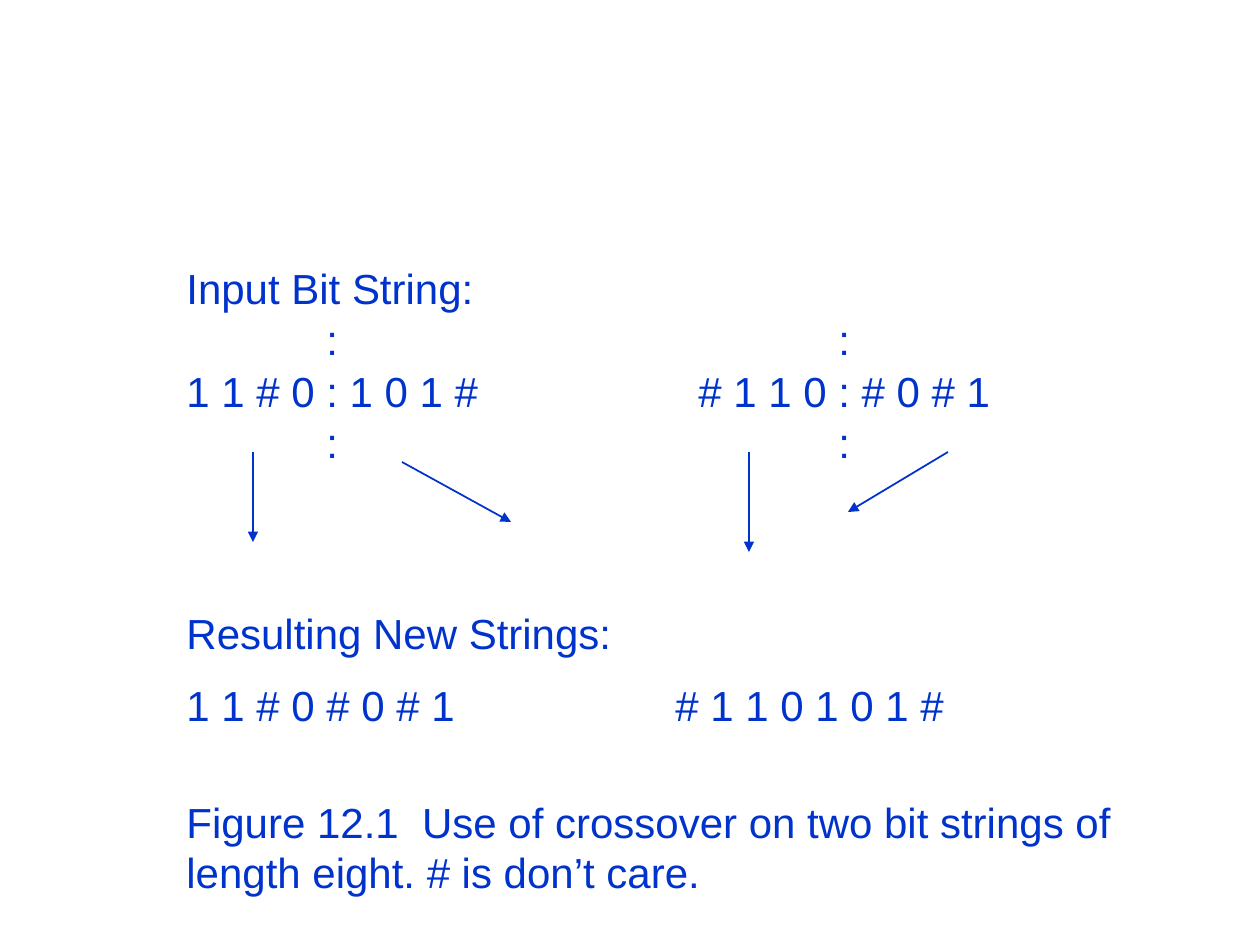
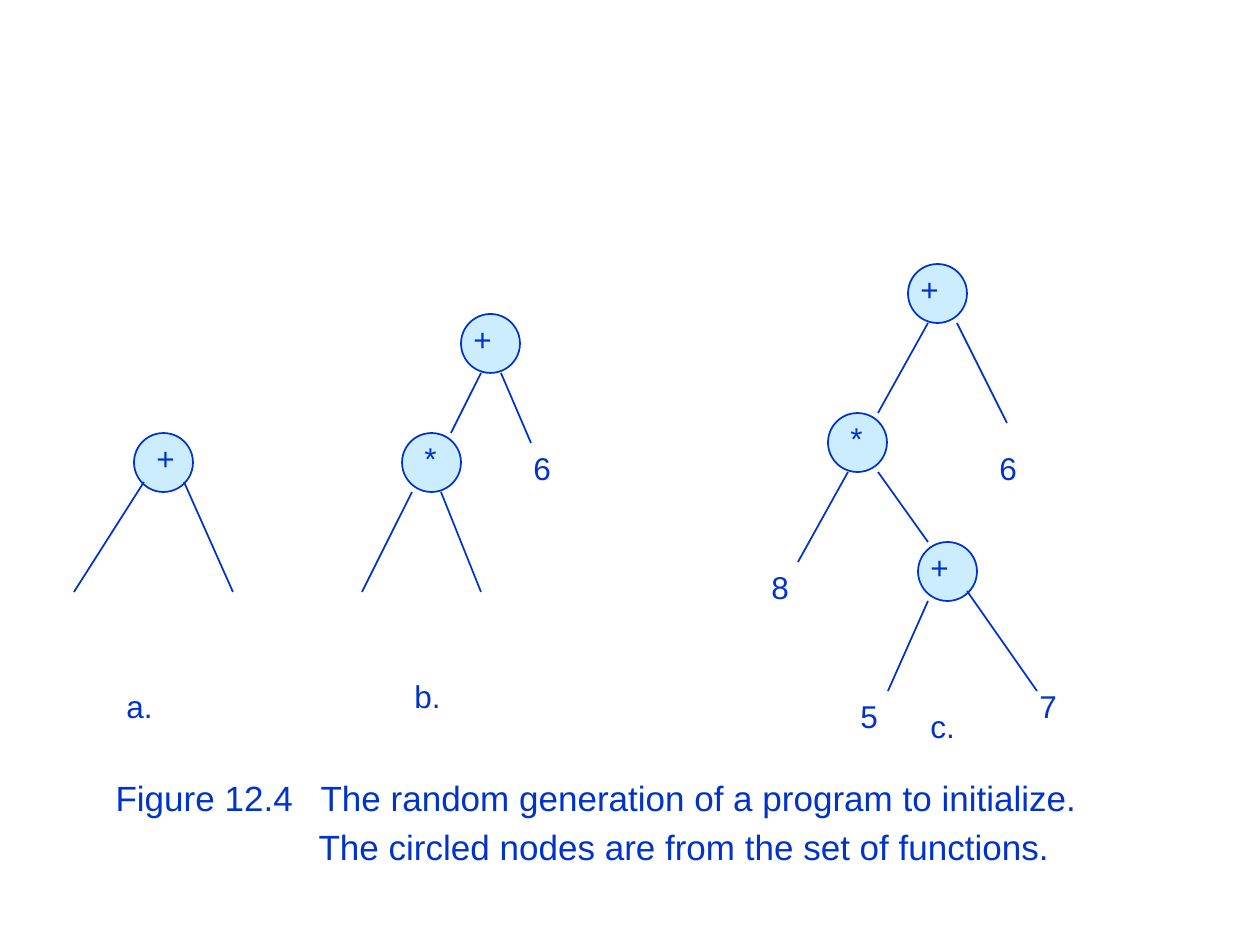
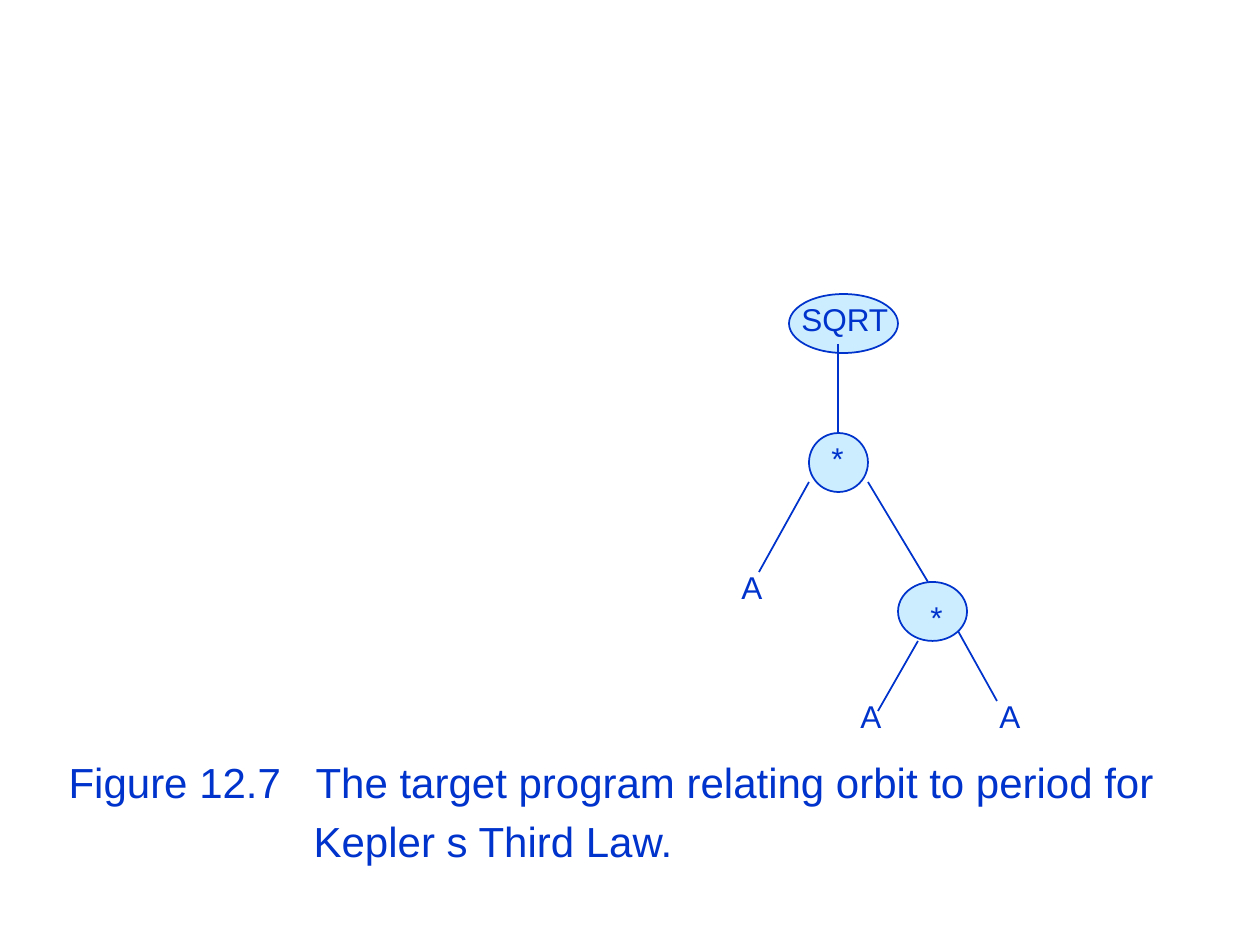
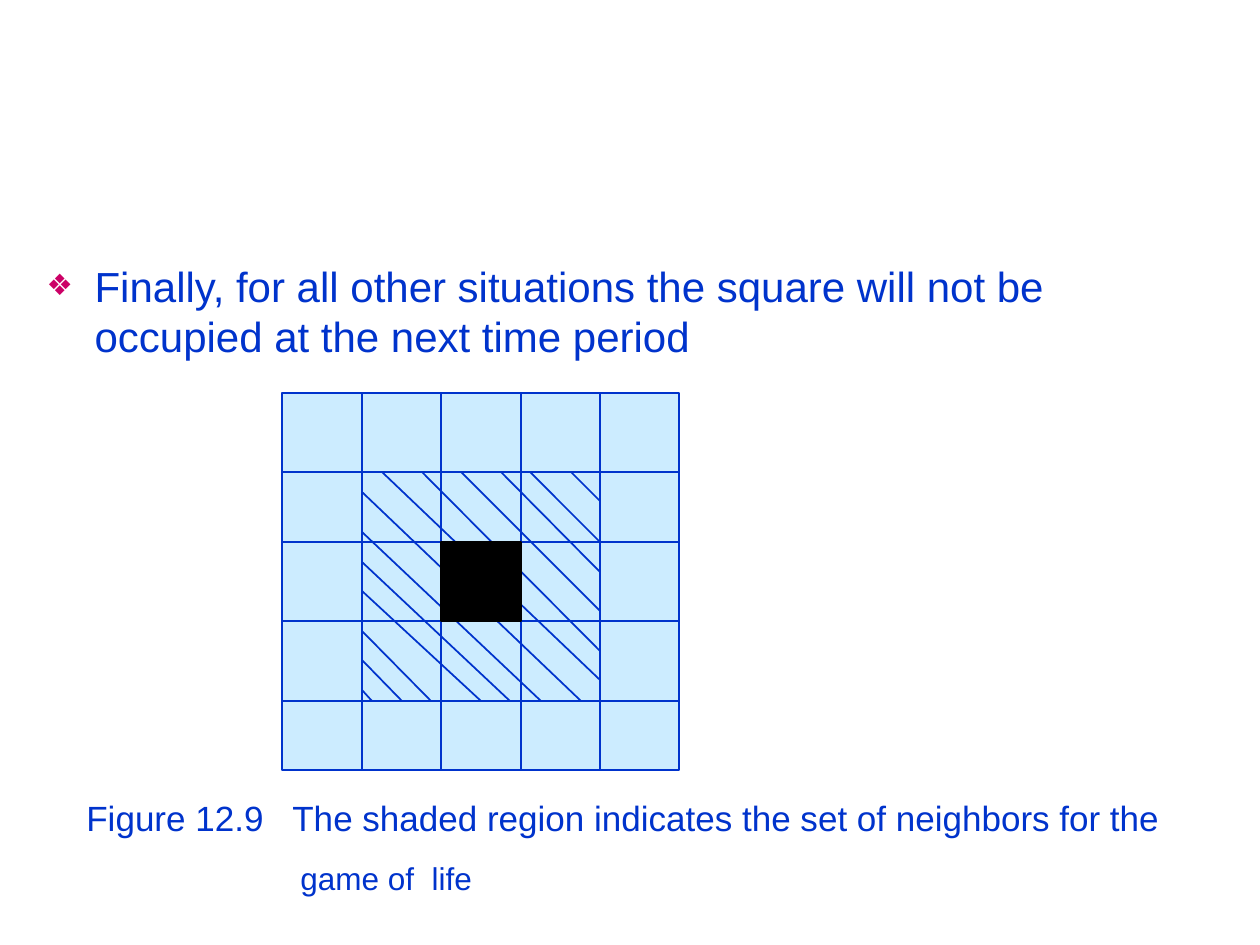
from pptx import Presentation
from pptx import util as u
from pptx.dml.color import RGBColor
from pptx.enum import shapes, text
from pptx.oxml.ns import qn
from lxml import etree

BLUE = RGBColor(0x00, 0x33, 0xCC)
PALE = RGBColor(0xCC, 0xEC, 0xFF)
BLACK = RGBColor(0x00, 0x00, 0x00)
BULLET_COLOUR = "CC0066"
FONT = "Arial"
PX = 914400 / 126
TITLE_AND_BODY, BLANK = 1, 6
NODE = 59
LABEL_HEIGHT = 50

# Paragraphs everywhere: (text, size, left margin, first-line indent, space before).
# A tab after a hanging indent leads to the left margin.
CUT_MARKS = (":\t:", 24, 652, -512, 12.1)

# Slide 1: box, line spacing, paragraphs
CROSSOVER_TEXTS = [
    ((174, 274, 953, 209), 0.6, [
        ("Input Bit String:", 24, 0, 0, 0),
        CUT_MARKS,
        ("1 1 # 0 : 1 0 1 #\t# 1 1 0 : # 0 # 1", 24, 512, -512, 12.1),
        CUT_MARKS]),
    ((174, 601, 824, 139), 1.0, [
        ("Resulting New Strings:", 24, 0, 0, 0),
        ("1 1 # 0 # 0 # 1\t# 1 1 0 1 0 1 #", 24, 489, -489, 12.5)]),
    ((174, 790, 1012, 113), 1.0, [
        ("Figure 12.1  Use of crossover on two bit strings of "
         "length eight. # is don’t care.", 24, 0, 0, 0)]),
]
CROSSOVER_ARROWS = [(253, 452, 253, 542), (402, 462, 511, 522),
                    (749, 452, 749, 552), (948, 452, 848, 512)]

# Trees: nodes (x, y, width), branches (x1, y1, x2, y2), labels (text, x, y, width)
GENERATION = {
    "nodes": [(134, 433, NODE), (402, 433, NODE), (461, 314, NODE),
              (918, 542, NODE), (828, 413, NODE), (908, 264, NODE)],
    "branches": [(144, 482, 74, 592), (184, 482, 233, 592),
                 (481, 373, 451, 433), (501, 373, 531, 443),
                 (412, 492, 362, 592), (441, 492, 481, 592),
                 (928, 323, 878, 413), (957, 323, 1007, 423),
                 (878, 472, 928, 542), (848, 472, 798, 562),
                 (967, 591, 1037, 691), (928, 601, 888, 691)],
    "labels": [("+", 144, 433, 60), ("+", 461, 314, 60), ("+", 908, 264, 60),
               ("+", 918, 542, 60), ("*", 412, 433, 60), ("*", 838, 413, 60),
               ("7", 1027, 681, 60), ("5", 848, 691, 60), ("8", 759, 562, 60),
               ("6", 987, 443, 60), ("6", 521, 443, 60), ("c.", 918, 701, 60),
               ("b.", 402, 671, 60), ("a.", 114, 681, 60)],
}
KEPLER = {
    "nodes": [(898, 582, 69), (809, 433, NODE), (789, 294, 109)],
    "branches": [(838, 344, 838, 433), (809, 482, 759, 572),
                 (868, 482, 928, 582), (918, 641, 878, 711),
                 (958, 631, 997, 701)],
    "labels": [("SQRT", 789, 294, 139), ("*", 819, 433, 70),
               ("*", 918, 592, 129), ("A", 729, 562, 70),
               ("A", 848, 691, 70), ("A", 987, 691, 90)],
}

GENERATION_CAPTION = [
    ("Figure 12.4\tThe random generation of a program to initialize.", 20, 264, -205, 0),
    ("The circled nodes are from the set of functions.", 20, 262, 0, 4)]
KEPLER_CAPTION = [
    ("Figure 12.7\tThe target program relating orbit to period for", 24, 259, -247, 0),
    ("Kepler s Third Law.", 24, 257, 0, 5)]
LIFE_CAPTION = [
    ("Figure 12.9\tThe shaded region indicates the set of neighbors for the", 20, 206, -206, 0),
    ("game of  life", 18, 214, 0, 11.7)]
LIFE_RULE = [
    ("Finally, for all other situations the square will not be "
     "occupied at the next time period", 24, 48, -48, 0)]

# Slide 4: grid edges and hatching of the inner 3 x 3 cells
COLUMNS = [282, 362, 441, 521, 600, 679]
ROWS = [393, 472, 542, 621, 701, 770]
HATCH_FROM_TOP = [(382, 680), (422, 651), (461, 611),
                  (501, 572), (530, 542), (571, 501)]  # start x, end y
HATCH_FROM_LEFT = [(492, 581), (532, 541), (562, 510), (591, 481),
                   (631, 431), (660, 402), (690, 372)]  # start y, end x


def px(*values):
    return [u.Emu(round(value * PX)) for value in values]


def set_bullet(props, bullet):
    if not bullet:
        etree.SubElement(props, qn("a:buNone"))
        return
    colour = etree.SubElement(props, qn("a:buClr"))
    etree.SubElement(colour, qn("a:srgbClr"), val=BULLET_COLOUR)
    etree.SubElement(props, qn("a:buSzPct"), val="70000")
    etree.SubElement(props, qn("a:buFont"), typeface=FONT)
    etree.SubElement(props, qn("a:buChar"), char=bullet)


def write(frame, lines, spacing=1.0, bullet=None):
    frame.word_wrap = True
    frame.auto_size = text.MSO_AUTO_SIZE.NONE
    frame.vertical_anchor = text.MSO_ANCHOR.TOP
    for index, (words, size, left, indent, before) in enumerate(lines):
        para = frame.add_paragraph() if index else frame.paragraphs[0]
        props = para._p.get_or_add_pPr()
        for name, length in zip(("marL", "indent"), px(left, indent)):
            props.set(name, str(length))
        set_bullet(props, bullet)
        para.alignment = text.PP_ALIGN.LEFT
        para.line_spacing = spacing
        para.space_before = u.Pt(before)
        span = para.add_run()
        span.text = words
        span.font.name = FONT
        span.font.size = u.Pt(size)
        span.font.color.rgb = BLUE


def add_text(page, bounds, lines, spacing=1.0):
    write(page.shapes.add_textbox(*px(*bounds)).text_frame, lines, spacing)


def add_body_page(deck, bounds, lines, bullet=None):
    """Add a slide whose only placeholder is the body, and fill it."""
    page = deck.slides.add_slide(deck.slide_layouts[TITLE_AND_BODY])
    title = page.shapes.title
    title.element.getparent().remove(title.element)
    body = page.placeholders[1]
    body.left, body.top, body.width, body.height = px(*bounds)
    write(body.text_frame, lines, bullet=bullet)
    return page


def add_preset(page, kind, bounds, fill, outline):
    shape = page.shapes.add_shape(kind, *px(*bounds))
    shape.shadow.inherit = False
    shape.fill.solid()
    shape.fill.fore_color.rgb = fill
    shape.line.color.rgb = outline
    shape.line.width = u.Pt(1)


def add_line(page, ends, arrow=False):
    line = page.shapes.add_connector(shapes.MSO_CONNECTOR.STRAIGHT, *px(*ends))
    line.line.color.rgb = BLUE
    line.line.width = u.Pt(1)
    if arrow:
        outline = line._element.spPr.find(qn("a:ln"))
        etree.SubElement(outline, qn("a:tailEnd"), type="triangle")
    etree.SubElement(line._element.spPr, qn("a:effectLst"))


def crossover_page(deck):
    page = deck.slides.add_slide(deck.slide_layouts[BLANK])
    for bounds, spacing, lines in CROSSOVER_TEXTS:
        add_text(page, bounds, lines, spacing)
    for ends in CROSSOVER_ARROWS:
        add_line(page, ends, arrow=True)


def tree_page(deck, bounds, caption, tree):
    page = add_body_page(deck, bounds, caption)
    for x, y, width in tree["nodes"]:
        add_preset(page, shapes.MSO_SHAPE.OVAL, (x, y, width, NODE), PALE, BLUE)
    for ends in tree["branches"]:
        add_line(page, ends)
    for words, x, y, width in tree["labels"]:
        add_text(page, (x, y, width, LABEL_HEIGHT), [(words, 18, 0, 0, 0)])


def life_page(deck):
    page = add_body_page(deck, (34, 254, 1177, 130), LIFE_RULE, bullet="❖")
    left, right, top, bottom = COLUMNS[0], COLUMNS[-1], ROWS[0], ROWS[-1]
    square = shapes.MSO_SHAPE.RECTANGLE
    add_preset(page, square, (left, top, right - left, bottom - top), PALE, BLUE)
    lines = [(left, y, right, y) for y in ROWS[1:-1]]
    lines += [(x, top, x, bottom) for x in COLUMNS[1:-1]]
    lines += [(x, ROWS[1], COLUMNS[4], y) for x, y in HATCH_FROM_TOP]
    lines += [(COLUMNS[1], y, x, ROWS[4]) for y, x in HATCH_FROM_LEFT]
    for ends in lines:
        add_line(page, ends)
    centre = (COLUMNS[2], ROWS[2], COLUMNS[3] - COLUMNS[2], ROWS[3] - ROWS[2])
    add_preset(page, square, centre, BLACK, BLACK)
    add_text(page, (74, 790, 1121, 117), LIFE_CAPTION)


def main():
    deck = Presentation()
    deck.slide_width, deck.slide_height = px(1260, 945)
    crossover_page(deck)
    tree_page(deck, (44, 770, 1177, 129), GENERATION_CAPTION, GENERATION)
    tree_page(deck, (44, 750, 1177, 139), KEPLER_CAPTION, KEPLER)
    life_page(deck)
    deck.save("out.pptx")


if __name__ == "__main__":
    main()
